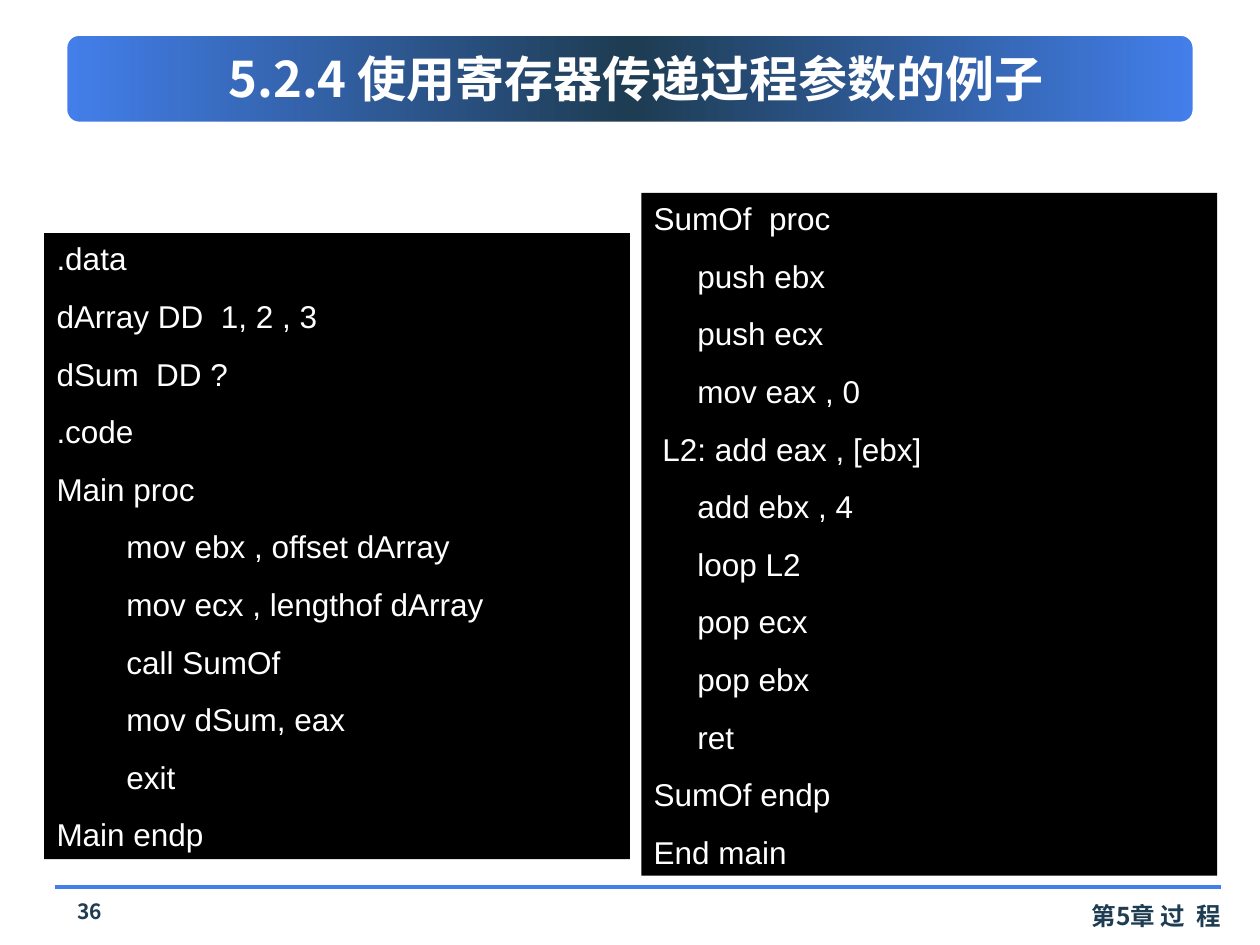
from dataclasses import dataclass

from lxml import etree
from pptx import Presentation
from pptx.dml.color import RGBColor
from pptx.enum.shapes import MSO_CONNECTOR, MSO_SHAPE
from pptx.enum.text import MSO_ANCHOR, PP_ALIGN
from pptx.oxml.ns import qn
from pptx.util import Inches, Pt

LEFT, CENTER, RIGHT = PP_ALIGN.LEFT, PP_ALIGN.CENTER, PP_ALIGN.RIGHT
TOP, MIDDLE = MSO_ANCHOR.TOP, MSO_ANCHOR.MIDDLE
RECTANGLE, ROUNDED = MSO_SHAPE.RECTANGLE, MSO_SHAPE.ROUNDED_RECTANGLE

WIDTH, HEIGHT = Inches(10), Inches(7.5)
COLUMNS, ROWS = 100, 75


@dataclass(frozen=True)
class Theme:
    blue: RGBColor = RGBColor(0x43, 0x7F, 0xEB)
    navy: RGBColor = RGBColor(0x1E, 0x3C, 0x52)
    white: RGBColor = RGBColor(0xFF, 0xFF, 0xFF)
    black: RGBColor = RGBColor(0x00, 0x00, 0x00)
    heading_font: str = "Noto Sans CJK SC"
    code_font: str = "Arial"
    title_size: float = 28
    code_size: float = 18
    chapter_size: float = 14
    number_size: float = 12
    code_line: float = 21.7
    code_gap: float = 11.2


THEME = Theme()


@dataclass(frozen=True)
class Area:
    """A place on the slide, in grid columns and rows."""
    column: float
    row: float
    columns: float
    rows: float

    def lengths(self) -> tuple[int, int, int, int]:
        return (across(self.column), down(self.row),
                across(self.columns), down(self.rows))


@dataclass(frozen=True)
class Label:
    text: str
    area: Area
    size: float
    color: RGBColor
    align: PP_ALIGN = CENTER
    anchor: MSO_ANCHOR = TOP


@dataclass(frozen=True)
class Listing:
    area: Area
    code: str


BANNER = Area(5, 2.5, 90, 7.5)
LABELS = (
    Label("第5章 过  程", Area(74.2, 71, 23.7, 3.4),
          THEME.chapter_size, THEME.navy, align=RIGHT),
    Label("36", Area(4.2, 70.8, 5.8, 3.3), THEME.number_size, THEME.navy),
    Label("5.2.4 使用寄存器传递过程参数的例子", Area(6.7, 2.8, 87.5, 6.7),
          THEME.title_size, THEME.white, anchor=MIDDLE),
)
LISTINGS = (
    Listing(Area(3.5, 18.5, 46.5, 49.7), """\
.data
dArray DD  1, 2 , 3
dSum  DD ?
.code
Main proc
        mov ebx , offset dArray
        mov ecx , lengthof dArray
        call SumOf
        mov dSum, eax
        exit
Main endp"""),
    Listing(Area(50.9, 15.3, 45.7, 54.2), """\
SumOf  proc
     push ebx
     push ecx
     mov eax , 0
 L2: add eax , [ebx]
     add ebx , 4
     loop L2
     pop ecx
     pop ebx
     ret
SumOf endp
End main"""),
)


def across(columns: float) -> int:
    return round(WIDTH * columns / COLUMNS)


def down(rows: float) -> int:
    return round(HEIGHT * rows / ROWS)


def write(shape, text: str, *, font: str, size: float, color: RGBColor,
          bold: bool = False, align: PP_ALIGN = LEFT, anchor: MSO_ANCHOR = TOP,
          gap: float = 0, line: float | None = None) -> None:
    """Fill a shape with one paragraph per line of text."""
    frame = shape.text_frame
    frame.word_wrap = True
    frame.vertical_anchor = anchor
    for index, words in enumerate(text.splitlines()):
        para = frame.add_paragraph() if index else frame.paragraphs[0]
        para.alignment = align
        if line:
            para.line_spacing = Pt(line)
        if index and gap:
            para.space_before = Pt(gap)
        span = para.add_run()
        span.text = words
        span.font.size, span.font.bold = Pt(size), bold
        span.font.color.rgb = color
        span.font.name = font
        east_asian = etree.SubElement(span.font._element, qn("a:ea"))
        east_asian.set("typeface", font)


def draw_banner(page) -> None:
    banner = page.shapes.add_shape(ROUNDED, *BANNER.lengths())
    banner.shadow.inherit = False
    banner.adjustments[0] = 0.17
    banner.line.color.rgb = THEME.white
    banner.line.width = Pt(5)
    banner.fill.gradient()
    banner.fill.gradient_angle = 0
    stops = banner.fill._fill._gradFill.find(qn("a:gsLst"))
    for stop in list(stops):
        stops.remove(stop)
    for percent, color in ((0, THEME.blue), (50, THEME.navy), (100, THEME.blue)):
        stop = etree.SubElement(stops, qn("a:gs"), pos=str(percent * 1000))
        etree.SubElement(stop, qn("a:srgbClr"), val=str(color))


def draw_footer_rule(page) -> None:
    rule = page.shapes.add_connector(MSO_CONNECTOR.STRAIGHT, across(4.4),
                                     down(70.4), across(96.9), down(70.4))
    rule.line.color.rgb = THEME.blue
    rule.line.width = Pt(2)
    etree.SubElement(rule._element.spPr, qn("a:effectLst"))


def draw_label(page, label: Label) -> None:
    box = page.shapes.add_textbox(*label.area.lengths())
    write(box, label.text, font=THEME.heading_font, size=label.size,
          color=label.color, bold=True, align=label.align, anchor=label.anchor)


def draw_listing(page, listing: Listing) -> None:
    panel = page.shapes.add_shape(RECTANGLE, *listing.area.lengths())
    panel.shadow.inherit = False
    panel.fill.solid()
    panel.fill.fore_color.rgb = THEME.black
    panel.line.fill.background()
    write(panel, listing.code, font=THEME.code_font, size=THEME.code_size,
          color=THEME.white, gap=THEME.code_gap, line=THEME.code_line)


def main() -> None:
    deck = Presentation()
    deck.slide_width, deck.slide_height = WIDTH, HEIGHT
    page = deck.slides.add_slide(deck.slide_layouts[6])
    draw_banner(page)
    draw_footer_rule(page)
    for label in LABELS:
        draw_label(page, label)
    for listing in LISTINGS:
        draw_listing(page, listing)
    deck.save("out.pptx")


if __name__ == "__main__":
    main()
